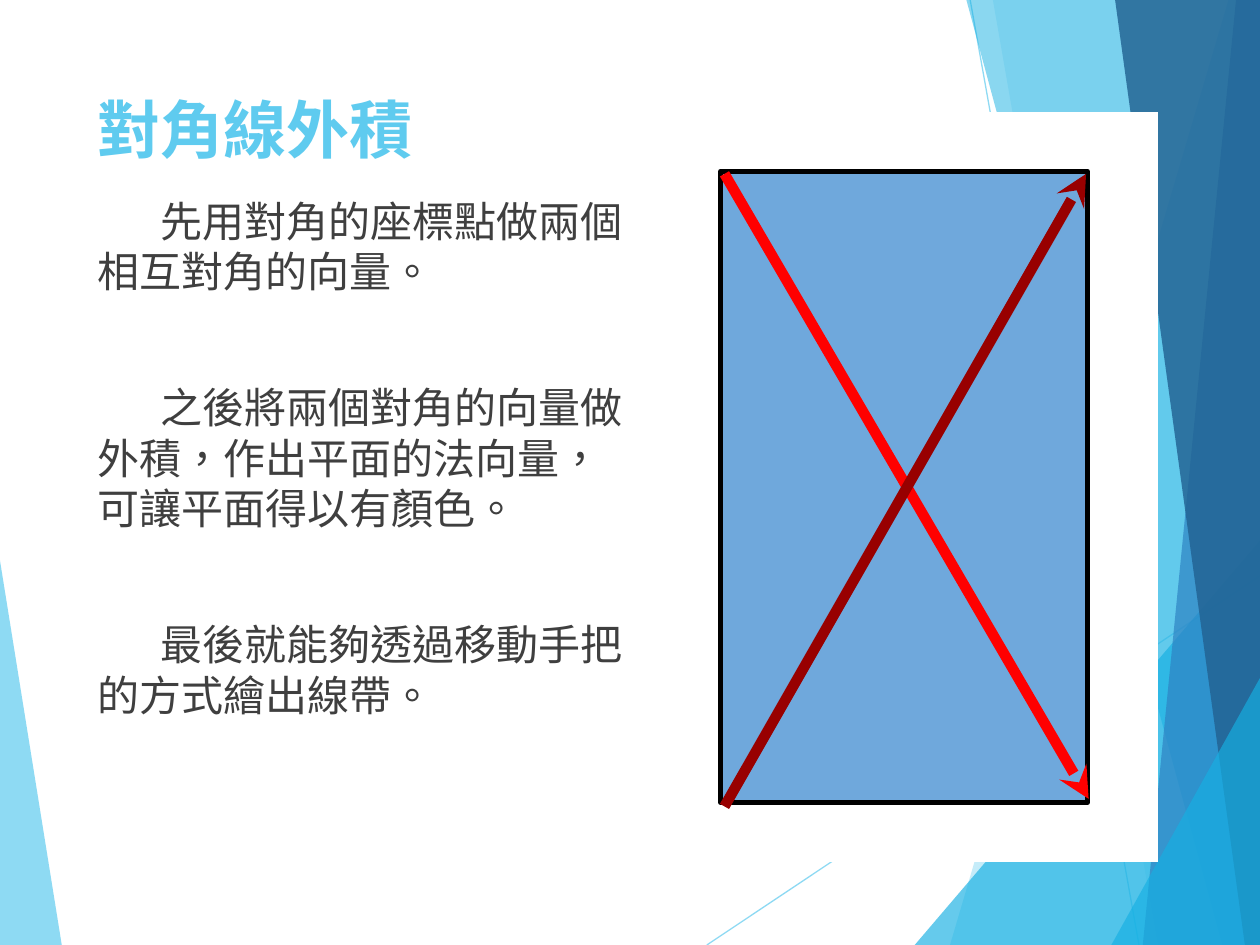
from dataclasses import dataclass

from pptx import Presentation
from pptx.dml.color import RGBColor
from pptx.enum.shapes import MSO_CONNECTOR, MSO_SHAPE
from pptx.enum.text import MSO_ANCHOR, MSO_AUTO_SIZE, PP_ALIGN
from pptx.oxml.ns import qn
from pptx.util import Inches, Pt
from lxml.etree import SubElement


@dataclass(frozen=True)
class Theme:
    font: str = "Karla"
    language: str = "zh-TW"
    title_size: int = 36
    body_size: int = 24
    paragraph_gap: int = 49
    sky: str = "5FCBEF"
    cyan: str = "16B0E3"
    blue: str = "2E83C3"
    navy: str = "226292"
    white: str = "FFFFFF"
    text: str = "3F3F3F"
    plane: str = "6FA8DC"
    outline: str = "000000"
    red: str = "FF0000"
    dark_red: str = "980000"


class SlideBuilder:
    def __init__(self, page, theme):
        self.page = page
        self.theme = theme

    @staticmethod
    def set_opacity(shape, percent):
        for color in shape._element.spPr.iter(qn("a:srgbClr")):
            SubElement(color, qn("a:alpha"), val=str(percent * 1000))

    def facet(self, points, color, opacity):
        """Draw a translucent polygon from corner points in inches."""
        start, *rest = [(Inches(x), Inches(y)) for x, y in points]
        builder = self.page.shapes.build_freeform(*start)
        builder.add_line_segments(rest, close=True)
        shape = builder.convert_to_shape()
        shape.shadow.inherit = False
        shape.fill.solid()
        shape.fill.fore_color.rgb = RGBColor.from_string(color)
        shape.line.fill.background()
        self.set_opacity(shape, opacity)

    def rectangle(self, left, top, width, height, color, outline=None):
        shape = self.page.shapes.add_shape(
            MSO_SHAPE.RECTANGLE, *map(Inches, (left, top, width, height)))
        shape.shadow.inherit = False
        shape.fill.solid()
        shape.fill.fore_color.rgb = RGBColor.from_string(color)
        if outline:
            shape.line.color.rgb = RGBColor.from_string(outline)
            shape.line.width = Pt(3)
        else:
            shape.line.fill.background()

    def line(self, start, end, color, width):
        connector = self.page.shapes.add_connector(
            MSO_CONNECTOR.STRAIGHT, *map(Inches, (*start, *end)))
        connector.line.color.rgb = RGBColor.from_string(color)
        connector.line.width = Pt(width)
        SubElement(connector._element.spPr, qn("a:effectLst"))
        return connector

    def accent_line(self, start, end):
        connector = self.line(start, end, self.theme.sky, 0.75)
        self.set_opacity(connector, 70)

    def arrow(self, start, end, color):
        connector = self.line(start, end, color, 6)
        outline = connector._element.spPr.find(qn("a:ln"))
        SubElement(outline, qn("a:tailEnd"), type="stealth")

    def fill_placeholder(self, box, position, paragraphs):
        box.left, box.top, box.width, box.height = map(Inches, position)
        frame = box.text_frame
        frame.text = "\n".join(paragraphs)
        frame.word_wrap = True
        frame.auto_size = MSO_AUTO_SIZE.NONE
        frame.vertical_anchor = MSO_ANCHOR.TOP
        for para in frame.paragraphs:
            para.alignment = PP_ALIGN.LEFT
            para.space_before = Pt(0)
        return frame.paragraphs

    def format_runs(self, para, size, color, bold=False):
        for span in para.runs:
            span.font.name = self.theme.font
            span.font.size = Pt(size)
            span.font.bold = bold
            span.font.color.rgb = RGBColor.from_string(color)
            span._r.get_or_add_rPr().set("lang", self.theme.language)

    def title(self, position, text):
        box = self.page.shapes.title
        for para in self.fill_placeholder(box, position, [text]):
            self.format_runs(para, self.theme.title_size, self.theme.sky, bold=True)

    def body(self, position, texts):
        box = self.page.placeholders[1]
        for index, para in enumerate(self.fill_placeholder(box, position, texts)):
            if index:
                para.space_before = Pt(self.theme.paragraph_gap)
            properties = para._p.get_or_add_pPr()
            properties.set("marL", "0")
            properties.set("indent", str(Inches(0.5)))
            SubElement(properties, qn("a:buNone"))
            self.format_runs(para, self.theme.body_size, self.theme.text)


def draw_background(slide, theme):
    slide.facet([(0, 4.45), (0.49, 7.5), (0, 7.5)], theme.sky, 70)
    slide.accent_line((5.61, 7.5), (10, 4.57))
    slide.accent_line((7.7, 0), (9.04, 7.5))

    # Each band runs from its top and bottom edge points to the right side.
    bands = [
        (9.75, 0, 7.54, theme.sky, 36),
        (7.88, 0, 9.19, theme.sky, 20),
        (10, 4.29, 7.26, theme.cyan, 66),
        (7.67, 0, 9.7, theme.cyan, 50),
        (9.81, 0, 9.07, theme.blue, 70),
        (8.85, 0, 9.88, theme.navy, 82),
        (10, 5.38, 8.82, theme.cyan, 66),
    ]
    for top_x, top_y, bottom_x, color, opacity in bands:
        corners = [(top_x, top_y), (bottom_x, 7.5), (10, 7.5), (10, top_y)]
        slide.facet(corners, color, opacity)


def main():
    theme = Theme()
    deck = Presentation()
    deck.slide_width, deck.slide_height = Inches(10), Inches(7.5)
    slide = SlideBuilder(deck.slides.add_slide(deck.slide_layouts[1]), theme)

    draw_background(slide, theme)
    slide.title((0.67, 0.67, 4.09, 0.84), "對角線外積")
    slide.body((0.67, 1.5, 4.43, 4.87), [
        "先用對角的座標點做兩個相互對角的向量。",
        "之後將兩個對角的向量做外積，作出平面的法向量，可讓平面得以有顏色。",
        "最後就能夠透過移動手把的方式繪出線帶。",
    ])

    slide.rectangle(5.1, 0.89, 4.09, 5.95, theme.white)
    slide.rectangle(5.72, 1.36, 2.91, 5.01, theme.plane, theme.outline)
    slide.arrow((5.75, 1.38), (8.64, 6.34), theme.red)
    slide.arrow((5.75, 6.4), (8.62, 1.38), theme.dark_red)
    deck.save("out.pptx")


if __name__ == "__main__":
    main()
